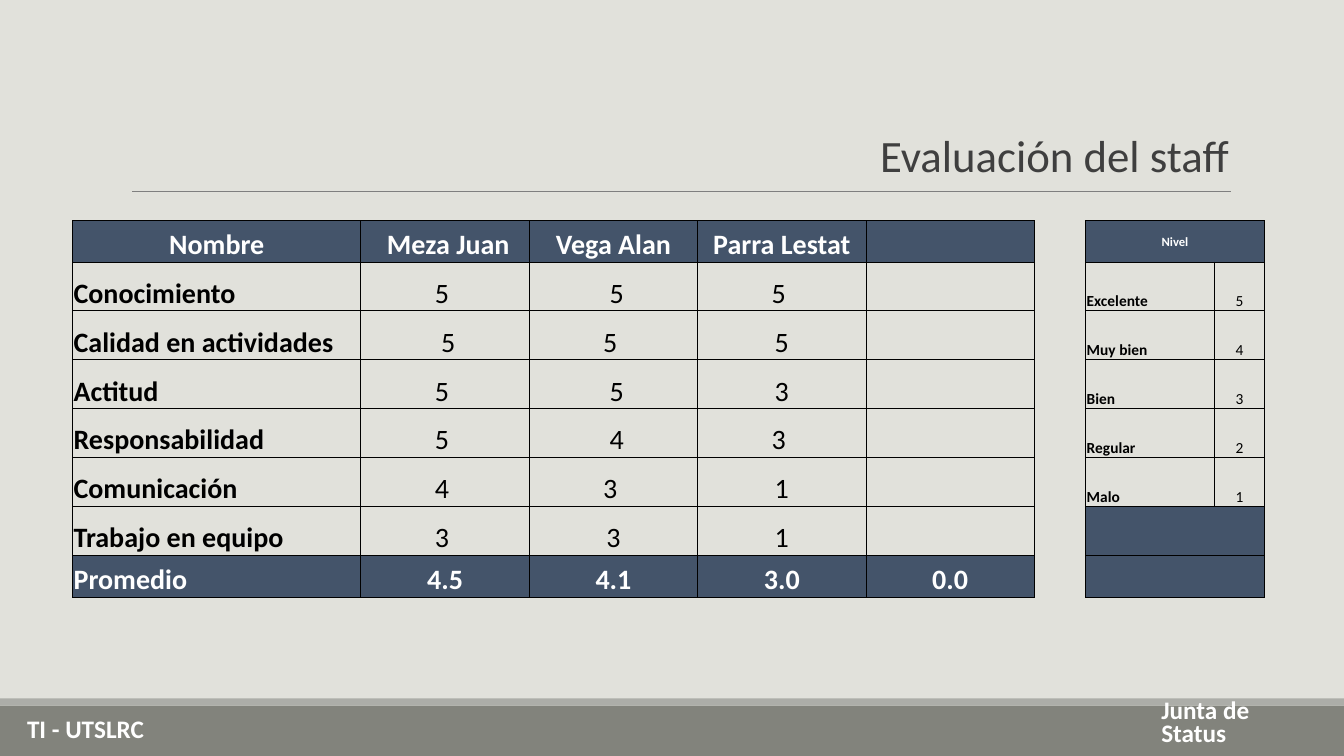
from dataclasses import dataclass

from lxml.etree import SubElement
from pptx import Presentation
from pptx.dml.color import RGBColor
from pptx.enum.shapes import MSO_CONNECTOR, MSO_SHAPE
from pptx.enum.text import MSO_ANCHOR, PP_ALIGN
from pptx.oxml import parse_xml
from pptx.oxml.ns import nsdecls, qn
from pptx.util import Inches, Pt


@dataclass(frozen=True)
class Theme:
    font: str = "Calibri"
    background: RGBColor = RGBColor.from_string("E1E1DB")
    footer: RGBColor = RGBColor.from_string("82837C")
    footer_edge: RGBColor = RGBColor.from_string("ACADA8")
    rule: RGBColor = RGBColor.from_string("7F7F7F")
    title: RGBColor = RGBColor.from_string("3F3F3F")
    navy: RGBColor = RGBColor.from_string("44546A")
    white: RGBColor = RGBColor.from_string("FFFFFF")
    black: RGBColor = RGBColor.from_string("000000")
    title_size: Pt = Pt(32)
    footer_size: Pt = Pt(18)
    score_size: Pt = Pt(20)
    level_size: Pt = Pt(11)
    level_title_size: Pt = Pt(9)
    line_width: Pt = Pt(0.75)


theme = Theme()


def style(paragraph, size, color, bold, align):
    paragraph.alignment = align
    font = paragraph.font
    font.name, font.size, font.bold = theme.font, size, bold
    font.color.rgb = color


def set_borders(cell, visible_sides):
    """Draw the named sides (L, R, T, B) and hide the others."""
    properties = cell._tc.get_or_add_tcPr()
    for index, side in enumerate("LRTB"):
        paint = (f'<a:solidFill><a:srgbClr val="{theme.black}"/></a:solidFill>'
                 if side in visible_sides else "<a:noFill/>")
        properties.insert(index, parse_xml(
            f'<a:ln{side} {nsdecls("a")} w="{theme.line_width}">{paint}</a:ln{side}>'))


prs = Presentation()
prs.slide_width, prs.slide_height = Inches(13.33), Inches(7.5)
slide = prs.slides.add_slide(prs.slide_layouts[6])
slide.background.fill.solid()
slide.background.fill.fore_color.rgb = theme.background

# Footer bands and title rule
for top, height, color in ((7, 0.5, theme.footer), (6.93, 0.07, theme.footer_edge)):
    band = slide.shapes.add_shape(
        MSO_SHAPE.RECTANGLE, 0, Inches(top), prs.slide_width, Inches(height))
    band.shadow.inherit = False
    band.fill.solid()
    band.fill.fore_color.rgb = color
    band.line.fill.background()

title_rule = slide.shapes.add_connector(
    MSO_CONNECTOR.STRAIGHT, Inches(1.31), Inches(1.9), Inches(12.21), Inches(1.9))
title_rule.line.color.rgb = theme.rule
title_rule.line.width = theme.line_width
SubElement(title_rule._element.spPr, qn("a:effectLst"))

# Title and footer texts
captions = (
    ("Evaluación del staff", (8.49, 1.36, 3.94, 0.49),
     theme.title_size, theme.title, False, PP_ALIGN.CENTER, 0.85),
    ("Junta de Status", (11.42, 7.11, 1.7, 0.35),
     theme.footer_size, theme.white, True, PP_ALIGN.LEFT, 0.75),
    ("TI - UTSLRC", (0.17, 7.07, 1.7, 0.35),
     theme.footer_size, theme.white, True, PP_ALIGN.LEFT, 0.75),
)
for text, place, size, color, bold, align, spacing in captions:
    frame = slide.shapes.add_textbox(*map(Inches, place)).text_frame
    frame.word_wrap = True
    frame.vertical_anchor = MSO_ANCHOR.BOTTOM
    caption = frame.paragraphs[0]
    caption.text = text
    caption.line_spacing = spacing
    style(caption, size, color, bold, align)

# Scores on the left, a gap column, and the level key on the right
evaluation = (
    ("Nombre", " Meza Juan", "Vega Alan", "Parra Lestat", "", "", "Nivel", ""),
    ("Conocimiento", "5 ", " 5", "5 ", "", "", "Excelente", "5"),
    ("Calidad en actividades", " 5", "5 ", "5", "", "", "Muy bien", "4"),
    ("Actitud", "5 ", " 5", "3", "", "", "Bien", "3"),
    ("Responsabilidad", "5 ", " 4", "3 ", "", "", "Regular", "2"),
    ("Comunicación", "4 ", "3 ", "1", "", "", "Malo", "1"),
    ("Trabajo en equipo", "3 ", "3", "1", "", "", "", ""),
    ("Promedio", "4.5", "4.1", "3.0", "0.0", "", "", ""),
)
column_widths = (2.86, *[1.67] * 4, 0.51, 1.28, 0.49)
row_heights = (0.41, *[0.485] * 6, 0.42)
GAP, LEVEL = 5, 6
HEADER, AVERAGE = 0, len(evaluation) - 1
LEVEL_BANDS = (HEADER, AVERAGE - 1, AVERAGE)

table = slide.shapes.add_table(
    len(evaluation), len(column_widths), Inches(0.72), Inches(2.19),
    Inches(sum(column_widths)), Inches(sum(row_heights))).table
table.first_row = table.horz_banding = False
for column, width in zip(table.columns, column_widths):
    column.width = Inches(width)
for row, height in zip(table.rows, row_heights):
    row.height = Inches(height)
for band_row in LEVEL_BANDS:
    table.cell(band_row, LEVEL).merge(table.cell(band_row, LEVEL + 1))

for r, values in enumerate(evaluation):
    for c, value in enumerate(values):
        cell = table.cell(r, c)
        in_key = c >= LEVEL
        is_band = c != GAP and r in (LEVEL_BANDS if in_key else (HEADER, AVERAGE))
        is_label = c in (0, LEVEL)
        level_title = in_key and r == HEADER

        cell.margin_left = cell.margin_right = cell.margin_top = Inches(0.01)
        cell.margin_bottom = 0
        cell.vertical_anchor = MSO_ANCHOR.MIDDLE if level_title else MSO_ANCHOR.BOTTOM
        if is_band:
            cell.fill.solid()
            cell.fill.fore_color.rgb = theme.navy
        else:
            cell.fill.background()
        set_borders(cell, "LR" if c == GAP else "LRTB")

        entry = cell.text_frame.paragraphs[0]
        if value:
            entry.text = value
        size = (theme.level_title_size if level_title
                else theme.level_size if in_key else theme.score_size)
        style(entry, size, theme.white if is_band else theme.black, is_band or is_label,
              PP_ALIGN.LEFT if is_label and r != HEADER else PP_ALIGN.CENTER)

prs.save("out.pptx")
